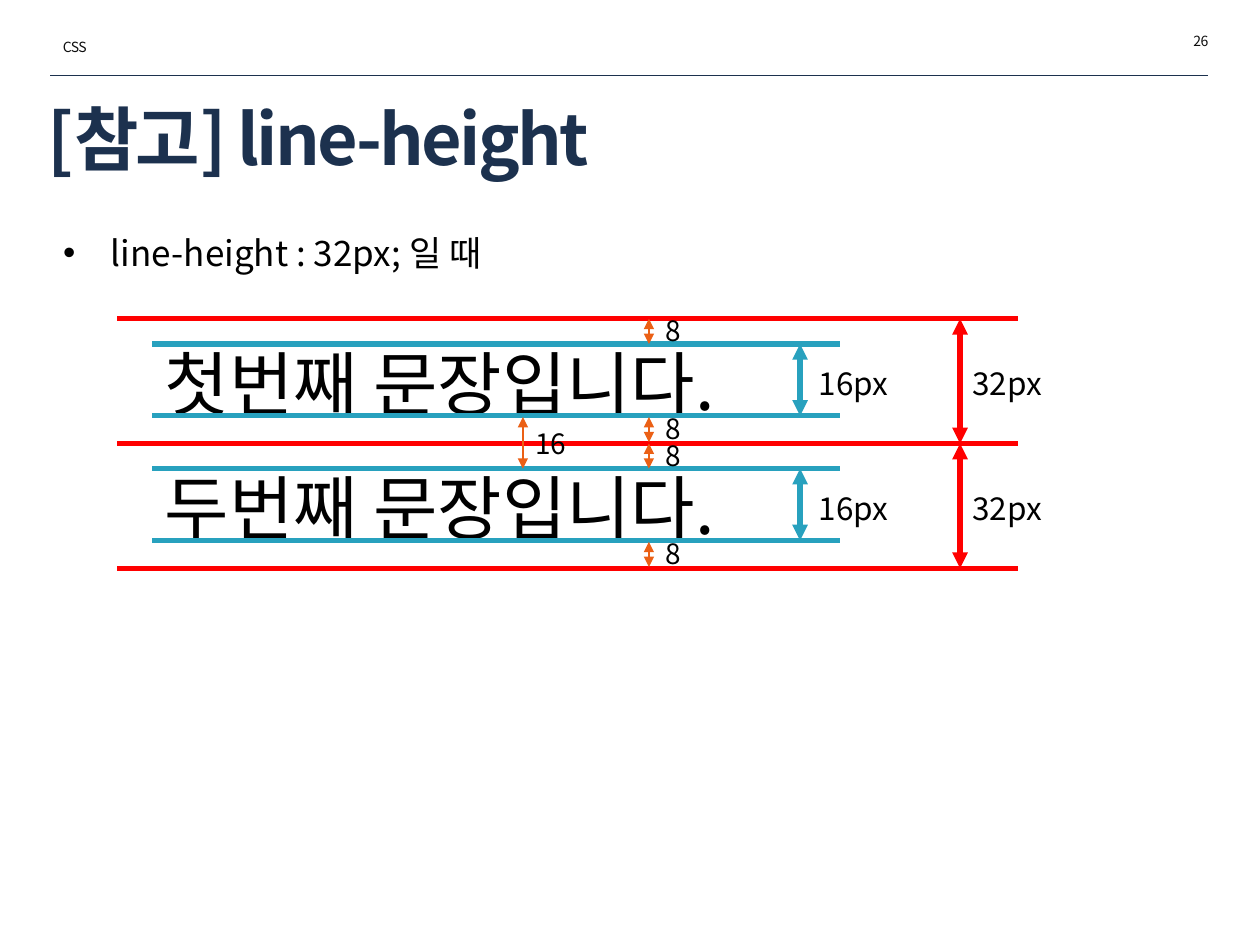
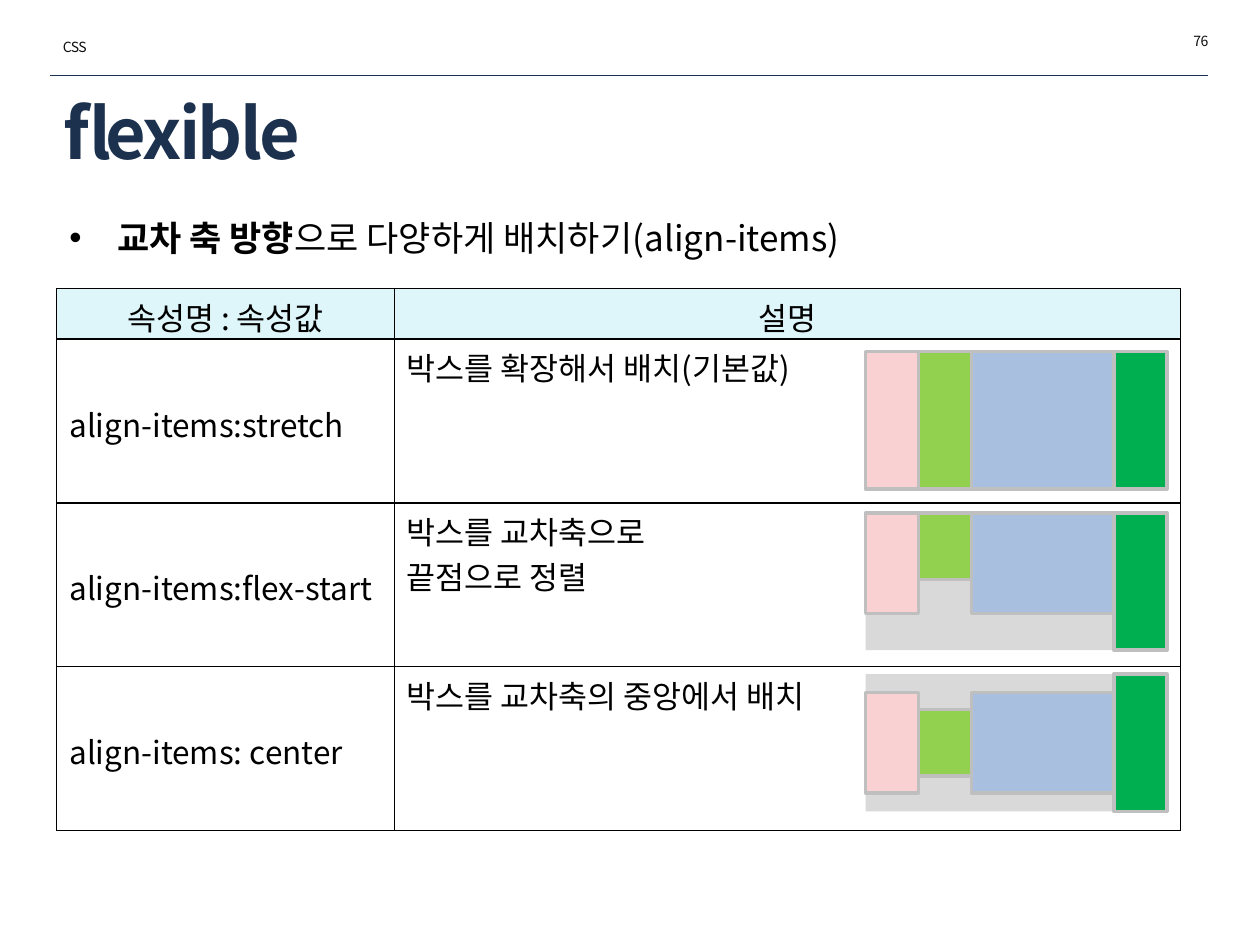
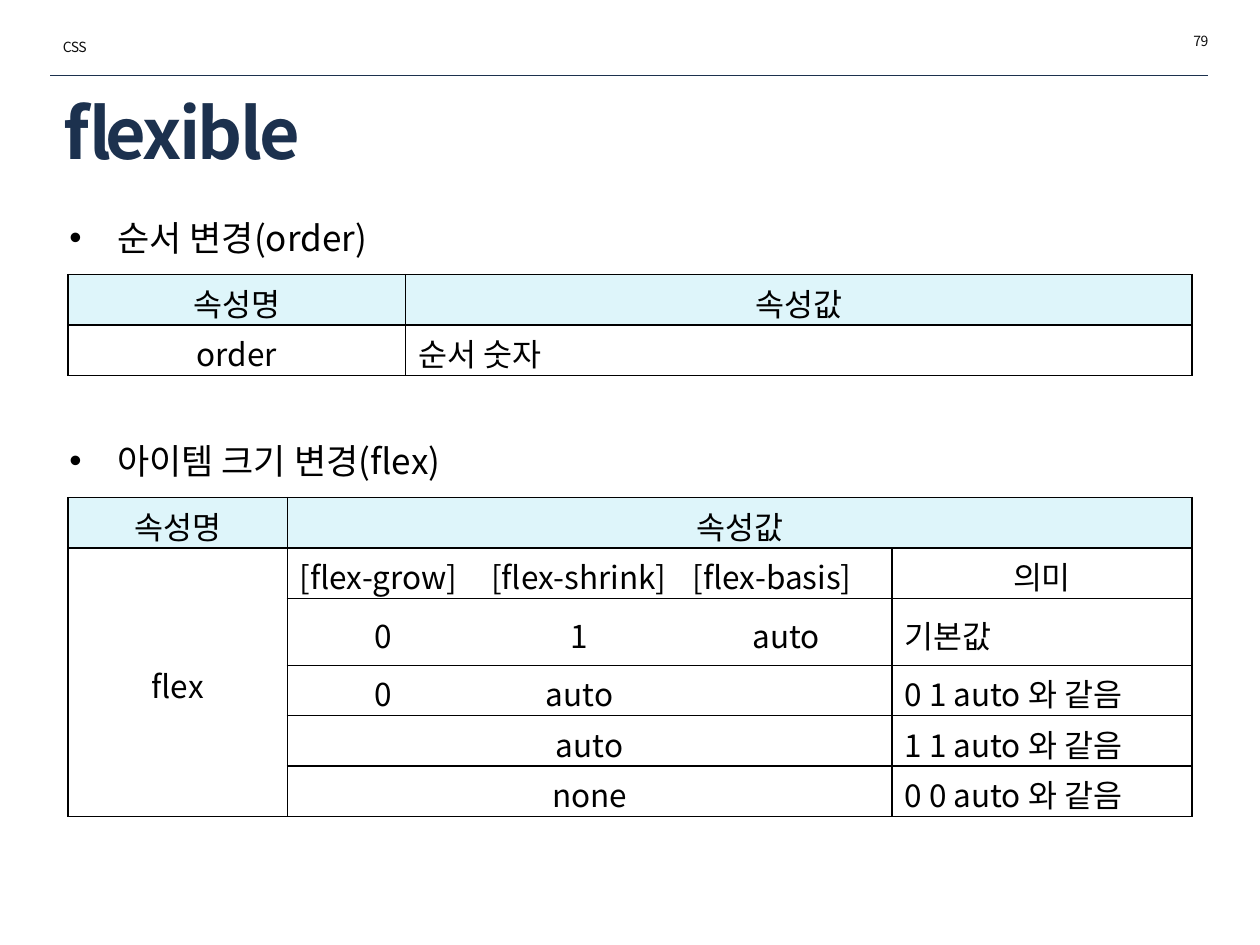
from pptx import Presentation
from pptx.dml.color import RGBColor
from pptx.enum.shapes import MSO_CONNECTOR, MSO_SHAPE
from pptx.enum.text import MSO_ANCHOR, MSO_AUTO_SIZE, PP_ALIGN
from pptx.oxml.ns import qn
from pptx.util import Inches, Pt
from lxml.etree import SubElement

# Shared style
FONT = "Noto Sans CJK KR"
NAVY = RGBColor(0x1C, 0x31, 0x4E)
BLACK = RGBColor(0, 0, 0)
DARK = RGBColor(0x0D, 0x0D, 0x0D)
TEAL = RGBColor(0x28, 0xA1, 0xBE)
RED = RGBColor(0xFF, 0, 0)
ORANGE = RGBColor(0xEB, 0x60, 0x15)
HEADER_FILL = RGBColor(0xDE, 0xF5, 0xFA)
AREA_GREY = RGBColor(0xD9, 0xD9, 0xD9)
EDGE_GREY = RGBColor(0xBF, 0xBF, 0xBF)
PINK = RGBColor(0xF9, 0xD1, 0xD3)
LIME = RGBColor(0x92, 0xD0, 0x50)
BLUE = RGBColor(0xA8, 0xBF, 0xDF)
GREEN = RGBColor(0x00, 0xB0, 0x50)

TITLE_AND_CONTENT, TWO_CONTENT = 1, 3
TITLE_BOX = (0.4, 0.72, 9.15, 0.64)
CENTER, LEFT = PP_ALIGN.CENTER, PP_ALIGN.LEFT


def style_run(run, size, color=BLACK, bold=False, spacing=0):
    font = run.font
    font.name, font.size, font.bold = FONT, Pt(size), bold
    font.color.rgb = color
    properties = run._r.get_or_add_rPr()
    SubElement(properties, qn("a:ea")).set("typeface", FONT)
    if spacing:
        properties.set("spc", str(int(spacing * 100)))


def style_text(text_frame, size, align=LEFT, **style):
    for paragraph in text_frame.paragraphs:
        paragraph.alignment = align
        for run in paragraph.runs:
            style_run(run, size, **style)


def place(shape, left, top, width, height):
    shape.left, shape.top = Inches(left), Inches(top)
    shape.width, shape.height = Inches(width), Inches(height)


def add_label(slide, text, box, size, align=LEFT, **style):
    label = slide.shapes.add_textbox(*map(Inches, box))
    text_frame = label.text_frame
    text_frame.word_wrap = True
    text_frame.auto_size = MSO_AUTO_SIZE.SHAPE_TO_FIT_TEXT
    text_frame.text = text
    style_text(text_frame, size, align, **style)


def add_line(slide, start, end, color, width, arrows=False):
    points = map(Inches, (*start, *end))
    line = slide.shapes.add_connector(MSO_CONNECTOR.STRAIGHT, *points)
    line.line.color.rgb = color
    line.line.width = Pt(width)
    if arrows:
        outline = line.line._get_or_add_ln()
        for end_name in ("a:headEnd", "a:tailEnd"):
            SubElement(outline, qn(end_name)).set("type", "triangle")
    SubElement(line._element.spPr, qn("a:effectLst"))


def add_box(slide, box, fill, edge=None):
    shape = slide.shapes.add_shape(MSO_SHAPE.RECTANGLE, *map(Inches, box))
    shape.shadow.inherit = False
    shape.fill.solid()
    shape.fill.fore_color.rgb = fill
    if edge is None:
        shape.line.fill.background()
    else:
        shape.line.color.rgb = edge
        shape.line.width = Pt(2)


def add_page(presentation, layout, title, number, title_box=TITLE_BOX):
    """Slide with the common header rule, page number and title."""
    slide = presentation.slides.add_slide(presentation.slide_layouts[layout])
    add_line(slide, (0.4, 0.6), (9.59, 0.6), NAVY, 0.25)
    place(slide.shapes.title, *title_box)
    text_frame = slide.shapes.title.text_frame
    text_frame.text = title
    text_frame.auto_size = MSO_AUTO_SIZE.NONE
    text_frame.vertical_anchor = MSO_ANCHOR.MIDDLE
    style_text(text_frame, 40, color=NAVY, bold=True, spacing=-1.5)
    small = {"size": 8, "color": DARK, "spacing": -0.3}
    add_label(slide, str(number), (7.96, 0.21, 1.73, 0.24), align=PP_ALIGN.RIGHT, **small)
    add_label(slide, "CSS", (0.4, 0.26, 1.73, 0.24), **small)
    return slide


def fill_bullet(placeholder, box, text, bold_start=""):
    place(placeholder, *box)
    text_frame = placeholder.text_frame
    text_frame.auto_size = MSO_AUTO_SIZE.SHAPE_TO_FIT_TEXT
    paragraph = text_frame.paragraphs[0]
    paragraph.space_before = Pt(0)
    properties = paragraph._p.get_or_add_pPr()
    properties.set("marL", str(Inches(0.38)))
    properties.set("indent", str(-Inches(0.38)))
    for part, bold in ((bold_start, True), (text, False)):
        if part:
            run = paragraph.add_run()
            run.text = part
            style_run(run, 20, bold=bold)


def set_borders(cell, hidden=""):
    """Black 1 pt borders; the sides named in hidden get no line."""
    properties = cell._tc.get_or_add_tcPr()
    for side in "LRTB":
        border = SubElement(properties, qn(f"a:ln{side}"), w=str(Pt(1)))
        if side in hidden:
            SubElement(border, qn("a:noFill"))
        else:
            fill = SubElement(border, qn("a:solidFill"))
            SubElement(fill, qn("a:srgbClr")).set("val", str(BLACK))


def add_grid(slide, position, columns, heights, rows, centered=(), merges=(),
             hidden=None, top_columns=()):
    """Table with a tinted, centred header row; centered lists (row, column)."""
    hidden = hidden or {}
    frame = slide.shapes.add_table(
        len(rows), len(columns), *map(Inches, (*position, sum(columns), sum(heights))))
    table = frame.table
    table.first_row = table.horz_banding = False
    for column, width in zip(table.columns, columns):
        column.width = Inches(width)
    for row, height in zip(table.rows, heights):
        row.height = Inches(height)
    for first, last in merges:
        table.cell(*first).merge(table.cell(*last))
    for i, texts in enumerate(rows):
        for j, text in enumerate(texts):
            cell = table.cell(i, j)
            if cell.is_spanned:
                continue
            cell.margin_top, cell.margin_bottom = Inches(0.04), 0
            at_top = i == 0 or j in top_columns
            cell.vertical_anchor = MSO_ANCHOR.TOP if at_top else MSO_ANCHOR.MIDDLE
            cell.text_frame.text = text
            style_text(cell.text_frame, 18, CENTER if i == 0 or (i, j) in centered else LEFT)
            set_borders(cell, hidden.get((i, j), ""))
            if i == 0:
                cell.fill.solid()
                cell.fill.fore_color.rgb = HEADER_FILL
            else:
                cell.fill.background()


def add_align_demo(slide, top, heights, offset):
    """Flex container with four items; offset is the share of free space above."""
    left, container = 6.87, 1.09
    add_box(slide, (left, top, 2.39, container), AREA_GREY)
    items = ((0, 0.42, PINK), (0.42, 0.42, LIME), (0.84, 1.15, BLUE), (1.97, 0.42, GREEN))
    for (shift, width, color), height in zip(items, heights):
        item_top = top + offset * (container - height)
        add_box(slide, (left + shift, item_top, width, height), color, EDGE_GREY)


def build_line_height(presentation):
    slide = add_page(presentation, TITLE_AND_CONTENT, "[참고] line-height", 26,
                     (0.28, 0.77, 9.26, 0.64))
    fill_bullet(slide.placeholders[1], (0.4, 1.79, 5.58, 0.44), "line-height : 32px; 일 때")

    # Two text lines, each with its glyph height and line height
    first_top, line_height = 2.53, 0.99
    tops = (first_top, first_top + line_height)
    for top, sentence in zip(tops, ("첫번째 문장입니다.", "두번째 문장입니다.")):
        add_label(slide, sentence, (1.21, top + 0.12, 5.65, 0.77), 40)
        upper, lower, bottom = top + 0.2, top + 0.77, top + line_height
        for y in (upper, lower):
            add_line(slide, (1.21, y), (6.67, y), TEAL, 3)
        add_line(slide, (6.35, upper), (6.35, lower), TEAL, 3, arrows=True)
        add_label(slide, "16px", (6.4, top + 0.31, 0.92, 0.4), 18)
        add_label(slide, "32px", (7.62, top + 0.31, 0.92, 0.4), 18)
        add_line(slide, (7.62, top), (7.62, bottom), RED, 3, arrows=True)
        add_line(slide, (0.93, top), (8.08, top), RED, 3)
    add_line(slide, (0.93, bottom), (8.08, bottom), RED, 3)

    # Space above and below the glyphs
    for top in tops:
        for gap_top in (top, top + 0.78):
            add_label(slide, "8", (5.18, gap_top - 0.09, 0.46, 0.37), 16)
            add_line(slide, (5.15, gap_top), (5.15, gap_top + 0.2), ORANGE, 0.75, arrows=True)
    add_label(slide, "16", (4.15, 3.34, 0.46, 0.37), 16)
    add_line(slide, (4.15, 3.31), (4.15, 3.72), ORANGE, 0.75, arrows=True)


def build_align_items(presentation):
    slide = add_page(presentation, TITLE_AND_CONTENT, "flexible", 76)
    add_grid(slide, (0.45, 2.29), (2.68, 6.24), (0.4, 1.3, 1.3, 1.3), (
        ("속성명 : 속성값", "설명"),
        ("align-items:stretch", "박스를 확장해서 배치(기본값)"),
        ("align-items:flex-start", "박스를 교차축으로 \n끝점으로 정렬"),
        ("align-items: center", "박스를 교차축의 중앙에서 배치"),
    ), top_columns=(1,))
    fill_bullet(slide.placeholders[1], (0.45, 1.67, 9.09, 0.44),
                "으로 다양하게 배치하기(align-items)", bold_start="교차 축 방향")

    natural = (0.8, 0.53, 0.8, 1.09)
    demos = (((1.09,) * 4, 0), (natural, 0), (natural, 0.5))
    for i, (heights, offset) in enumerate(demos):
        add_align_demo(slide, 2.79 + 1.28 * i, heights, offset)


def build_order_and_flex(presentation):
    slide = add_page(presentation, TWO_CONTENT, "flexible", 79)
    order_bullet, flex_bullet = slide.placeholders[1], slide.placeholders[2]

    # Order
    fill_bullet(order_bullet, (0.45, 1.67, 9.24, 0.44), "순서 변경(order)")
    add_grid(slide, (0.54, 2.18), (2.68, 6.24), (0.4, 0.4),
             (("속성명", "속성값"), ("order", "순서 숫자")), centered={(1, 0)})

    # Flex
    fill_bullet(flex_bullet, (0.45, 3.44, 9.24, 0.44), "아이템 크기 변경(flex)")
    centered = {(1, 0), (1, 4)} | {(i, j) for i in range(2, 6) for j in range(1, 4)}
    open_sides = {(i, j): sides for i in range(1, 4)
                  for j, sides in ((1, "R"), (2, "LR"), (3, "L"))}
    add_grid(slide, (0.54, 3.95), (1.74, 1.52, 1.6, 1.68, 2.38),
             (0.4, 0.4, 0.53, 0.4, 0.4, 0.4), (
                 ("속성명", "속성값", "", "", ""),
                 ("flex", "[flex-grow]", "[flex-shrink]", "[flex-basis]", "의미"),
                 ("", "0", "1", "auto", "기본값"),
                 ("", "0", "auto", "", "0 1 auto 와 같음"),
                 ("", "auto", "", "", "1 1 auto 와 같음"),
                 ("", "none", "", "", "0 0 auto 와 같음")),
             centered=centered, hidden=open_sides,
             merges=(((0, 1), (0, 4)), ((1, 0), (5, 0)), ((4, 1), (4, 3)), ((5, 1), (5, 3))))


def main():
    presentation = Presentation()
    presentation.slide_width, presentation.slide_height = Inches(10), Inches(7.5)
    build_line_height(presentation)
    build_align_items(presentation)
    build_order_and_flex(presentation)
    presentation.save("out.pptx")


if __name__ == "__main__":
    main()
